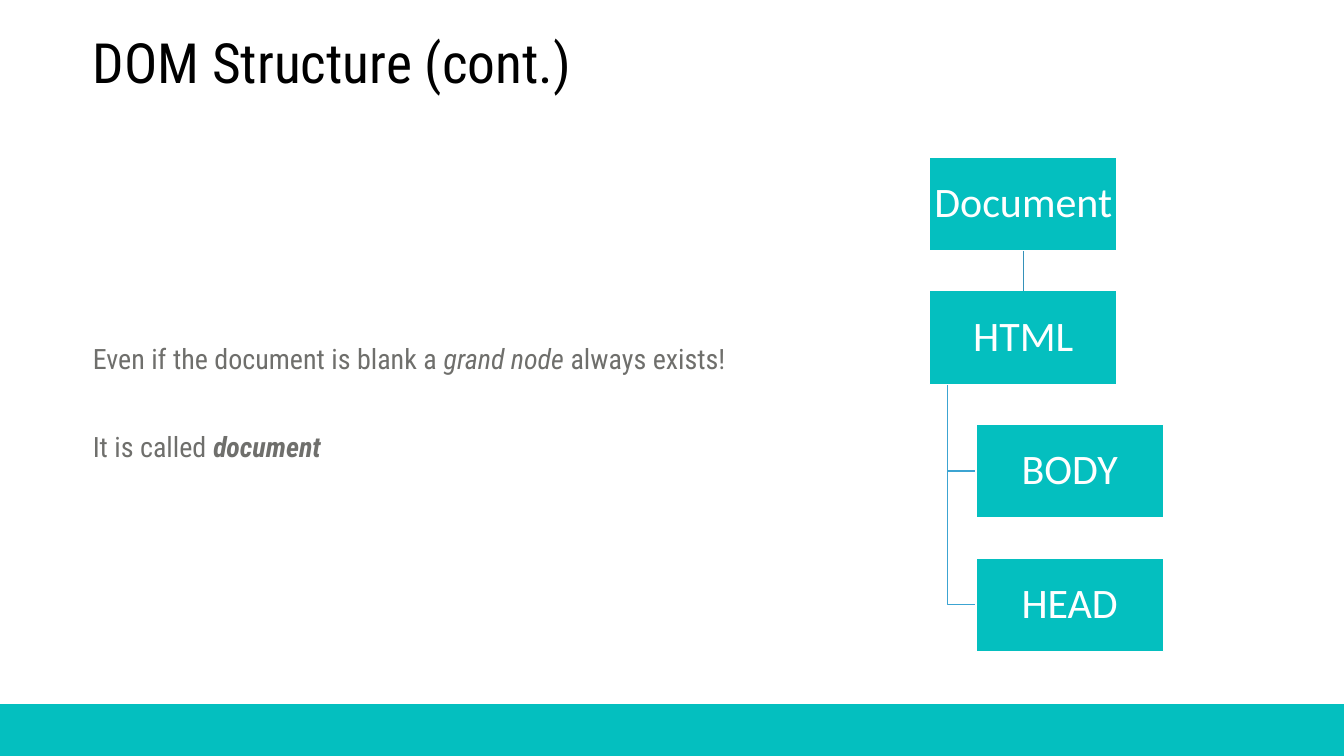
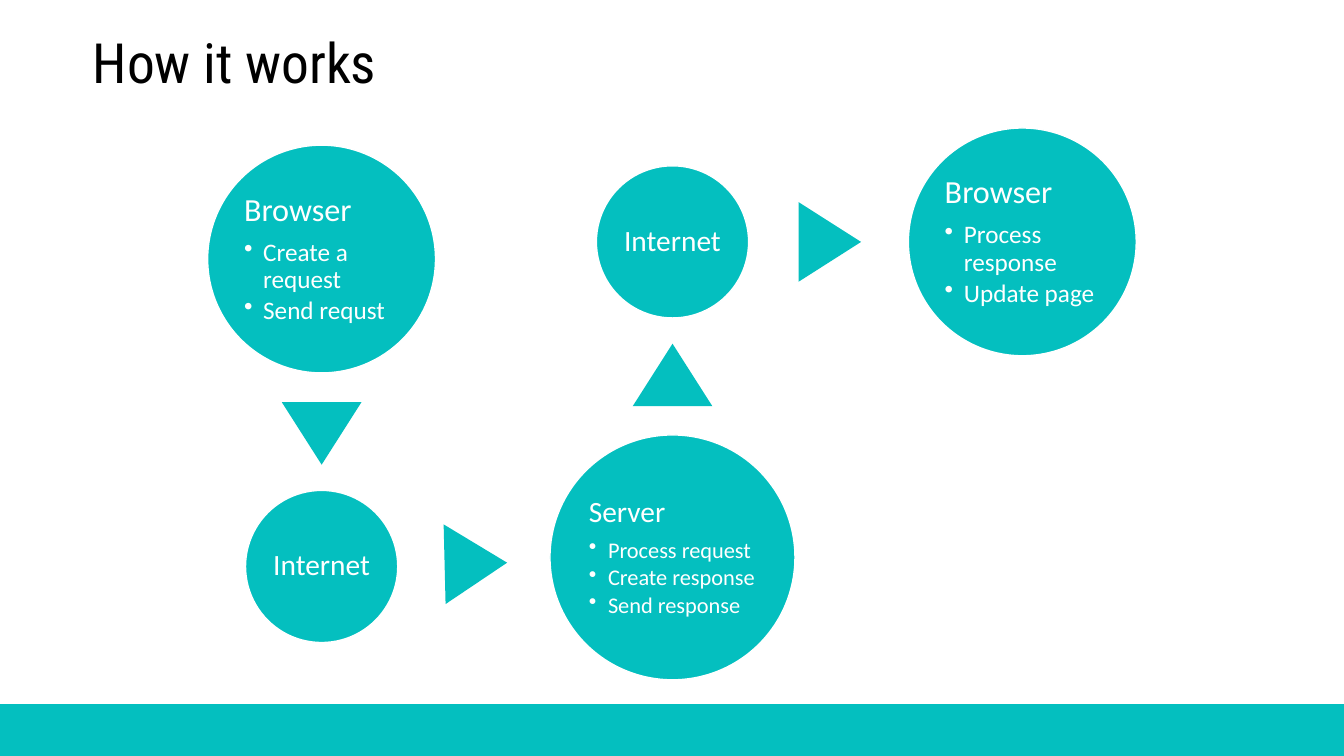
from dataclasses import dataclass
from typing import Any, NamedTuple

import pptx
import pptx.dml.color
import pptx.enum.shapes
import pptx.enum.text
import pptx.oxml.ns
import pptx.util
from lxml import etree

Inches, Pt = pptx.util.Inches, pptx.util.Pt
RGB = pptx.dml.color.RGBColor.from_string
SHAPE = pptx.enum.shapes.MSO_SHAPE
ALIGN = pptx.enum.text.PP_ALIGN
ANCHOR = pptx.enum.text.MSO_ANCHOR


@dataclass(frozen=True)
class Theme:
    teal: str = "04BFBF"
    white: str = "FFFFFF"
    black: str = "000000"
    grey: str = "6F6F6C"
    trunk: str = "3591B9"
    branch: str = "3CA4D2"
    text_font: str = "Roboto Condensed"
    diagram_font: str = "Calibri"
    title_size: float = 39.6
    body_size: float = 20
    node_size: float = 30
    line_spacing: float = 0.9


class Node(NamedTuple):
    label: str
    left: float
    row: int


class Step(NamedTuple):
    """A circle of the flow, placed by its centre."""
    heading: str
    x: float
    y: float
    diameter: float
    size: float
    bullet_size: float = 0
    bullets: tuple[str, ...] = ()


class Arrow(NamedTuple):
    x: float
    y: float
    rotation: float


THEME = Theme()
SLIDE_W, SLIDE_H = 13.33, 7.5
BAND_TOP = 6.99

NODE_W, NODE_H = 1.86, 0.93
TREE_TOP, TREE_PITCH = 1.56, 1.325
BRANCH_X = 9.4
ROOTS = (Node("Document", 9.22, 0), Node("HTML", 9.22, 1))
CHILDREN = (Node("BODY", 9.68, 2), Node("HEAD", 9.68, 3))

COLUMNS = (3.19, 6.67, 10.14)
ARROW_W, ARROW_H = 0.79, 0.62
STEPS = (
    Step("Browser", COLUMNS[0], 2.57, 2.26, 23, 18, ("Create a request", "Send requst")),
    Step("Internet", COLUMNS[0], 5.62, 1.51, 21),
    Step("Server", COLUMNS[1], 5.53, 2.43, 21, 16,
         ("Process request", "Create response", "Send response")),
    Step("Internet", COLUMNS[1], 2.4, 1.51, 21),
    Step("Browser", COLUMNS[2], 2.4, 2.26, 23, 18, ("Process response", "Update page")),
)
ARROWS = (
    Arrow(COLUMNS[0], 4.3, 180),
    Arrow(4.72, 5.59, 88.6),
    Arrow(COLUMNS[1], 3.72, 0),
    Arrow(8.23, 2.4, 90),
)


def apply(target: Any, **values: Any) -> None:
    for name, value in values.items():
        setattr(target, name, value)


def add_run(p: Any, text: str, size: float, color: str, font: str, **style: Any) -> None:
    r = p.add_run()
    r.text = text
    apply(r.font, size=Pt(size), name=font, **style)
    r.font.color.rgb = RGB(color)


def format_frame(tf: Any, anchor: Any, insets: tuple[float, float, float, float]) -> None:
    """Set the anchor and the left, top, right and bottom insets."""
    left, top, right, bottom = (Inches(v) for v in insets)
    apply(tf, word_wrap=True, auto_size=pptx.enum.text.MSO_AUTO_SIZE.NONE,
          vertical_anchor=anchor, margin_left=left, margin_top=top,
          margin_right=right, margin_bottom=bottom)


def place(sp: Any, left: float, top: float, width: float, height: float) -> None:
    apply(sp, left=Inches(left), top=Inches(top), width=Inches(width), height=Inches(height))


def set_bullet(p: Any, char: str | None, indent: float = 0) -> None:
    """Give the paragraph a hanging bullet, or none."""
    pPr = p._p.get_or_add_pPr()
    pPr.set("marL", str(Inches(indent)))
    pPr.set("indent", str(-Inches(indent)))
    tag = "a:buChar" if char else "a:buNone"
    bullet = etree.SubElement(pPr, pptx.oxml.ns.qn(tag))
    if char:
        bullet.set("char", char)


def add_filled(s: Any, kind: Any, left: float, top: float, width: float, height: float,
               line: str | None = None) -> Any:
    sp = s.shapes.add_shape(kind, Inches(left), Inches(top), Inches(width), Inches(height))
    sp.shadow.inherit = False
    sp.fill.solid()
    sp.fill.fore_color.rgb = RGB(THEME.teal)
    if line:
        sp.line.color.rgb = RGB(line)
        sp.line.width = Pt(1)
    else:
        sp.line.fill.background()
    return sp


def new_slide(prs: Any, layout: int, title: str) -> Any:
    """Add a slide with the shared bottom band and title style."""
    s = prs.slides.add_slide(prs.slide_layouts[layout])
    add_filled(s, SHAPE.RECTANGLE, 0, BAND_TOP, SLIDE_W, SLIDE_H - BAND_TOP, THEME.teal)
    sp = s.shapes.title
    place(sp, 0.92, 0.36, 10.16, 0.64)
    format_frame(sp.text_frame, ANCHOR.BOTTOM, (0, 0.05, 0.1, 0.05))
    p = sp.text_frame.paragraphs[0]
    apply(p, alignment=ALIGN.LEFT, line_spacing=THEME.line_spacing)
    add_run(p, title, THEME.title_size, THEME.black, THEME.text_font)
    return s


def fill_body(sp: Any, paragraphs: tuple[tuple[tuple[str, dict], ...], ...]) -> None:
    place(sp, 0.92, 1.27, 11.5, 5.49)
    tf = sp.text_frame
    format_frame(tf, ANCHOR.MIDDLE, (0, 0.05, 0.1, 0.05))
    for i, runs in enumerate(paragraphs):
        p = tf.add_paragraph() if i else tf.paragraphs[0]
        set_bullet(p, None)
        apply(p, line_spacing=THEME.line_spacing, space_before=Pt(41.5 if i else 0))
        for text, style in runs:
            add_run(p, text, THEME.body_size, THEME.grey, THEME.text_font, **style)


def add_label(p: Any, text: str, size: float, alignment: Any, after: float) -> None:
    """Write white diagram text; the space after is a share of its size."""
    apply(p, alignment=alignment, line_spacing=THEME.line_spacing, space_after=Pt(size * after))
    add_run(p, text, size, THEME.white, THEME.diagram_font)


def node_top(node: Node) -> float:
    return TREE_TOP + node.row * TREE_PITCH


def add_branch(s: Any, parent: Node, child: Node) -> None:
    """Draw the elbow line from under the parent to the child's left side."""
    start = node_top(parent) + NODE_H
    middle = node_top(child) + NODE_H / 2
    builder = s.shapes.build_freeform(Inches(BRANCH_X), Inches(start))
    builder.add_line_segments(
        [(Inches(BRANCH_X), Inches(middle)), (Inches(child.left), Inches(middle))], close=False)
    sp = builder.convert_to_shape()
    sp.shadow.inherit = False
    sp.fill.background()
    sp.line.color.rgb = RGB(THEME.branch)
    sp.line.width = Pt(1)


def add_node(s: Any, node: Node) -> Any:
    sp = add_filled(s, SHAPE.RECTANGLE, node.left, node_top(node), NODE_W, NODE_H, THEME.white)
    format_frame(sp.text_frame, ANCHOR.MIDDLE, (0.02,) * 4)
    add_label(sp.text_frame.paragraphs[0], node.label, THEME.node_size, ALIGN.CENTER, 0)
    return sp


def add_trunk(s: Any, upper: Any, lower: Any) -> None:
    line = s.shapes.add_connector(pptx.enum.shapes.MSO_CONNECTOR.STRAIGHT, 0, 0, 0, 0)
    line.begin_connect(upper, 2)
    line.end_connect(lower, 0)
    line.line.color.rgb = RGB(THEME.trunk)
    line.line.width = Pt(1)
    etree.SubElement(line._element.spPr, pptx.oxml.ns.qn("a:effectLst"))


def add_step(s: Any, step: Step) -> None:
    radius = step.diameter / 2
    sp = add_filled(s, SHAPE.OVAL, step.x - radius, step.y - radius,
                    step.diameter, step.diameter, THEME.white)
    tf = sp.text_frame
    format_frame(tf, ANCHOR.MIDDLE, (0.03,) * 4)
    alignment = ALIGN.LEFT if step.bullets else ALIGN.CENTER
    add_label(tf.paragraphs[0], step.heading, step.size, alignment, 0.35)
    for text in step.bullets:
        p = tf.add_paragraph()
        set_bullet(p, "•", 0.19)
        add_label(p, text, step.bullet_size, ALIGN.LEFT, 0.15)


def add_arrow(s: Any, arrow: Arrow) -> None:
    sp = add_filled(s, SHAPE.ISOSCELES_TRIANGLE, arrow.x - ARROW_W / 2,
                    arrow.y - ARROW_H / 2, ARROW_W, ARROW_H)
    sp.rotation = arrow.rotation


def build_dom_slide(prs: Any) -> None:
    s = new_slide(prs, 1, "DOM Structure (cont.)")
    fill_body(s.placeholders[1], (
        (("Even if the document is blank a ", {}), ("grand node", {"italic": True}),
         (" always exists!", {})),
        (("It is called ", {}), ("document", {"bold": True, "italic": True})),
    ))
    for child in CHILDREN:
        add_branch(s, ROOTS[-1], child)
    document, html = (add_node(s, node) for node in ROOTS)
    add_trunk(s, document, html)
    for child in CHILDREN:
        add_node(s, child)


def build_flow_slide(prs: Any) -> None:
    s = new_slide(prs, 5, "How it works")
    for step in STEPS:
        add_step(s, step)
    for arrow in ARROWS:
        add_arrow(s, arrow)


def main() -> None:
    prs = pptx.Presentation()
    apply(prs, slide_width=Inches(SLIDE_W), slide_height=Inches(SLIDE_H))
    build_dom_slide(prs)
    build_flow_slide(prs)
    prs.save("out.pptx")


if __name__ == "__main__":
    main()
